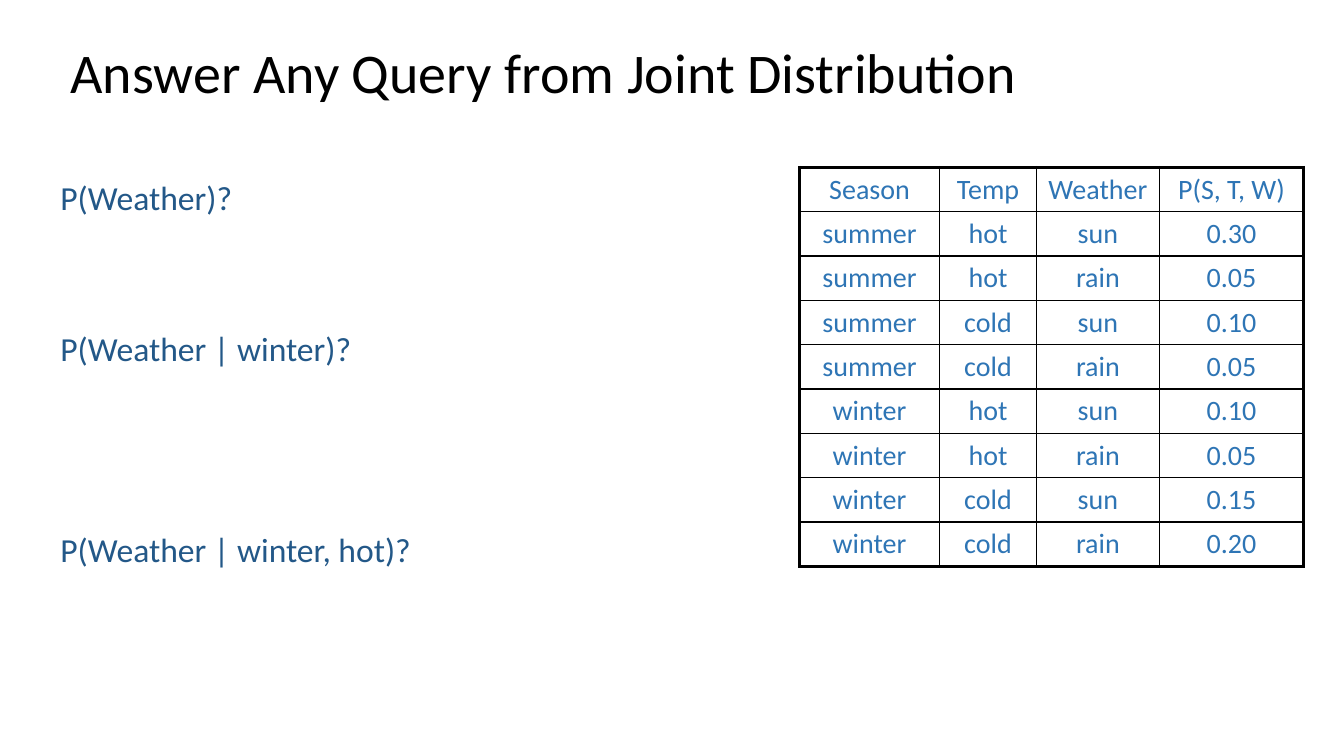
from itertools import product

from lxml import etree
from pptx import Presentation
from pptx.dml.color import RGBColor
from pptx.enum.text import MSO_ANCHOR, PP_ALIGN
from pptx.oxml.ns import qn
from pptx.util import Inches, Pt

CENTER, LEFT = PP_ALIGN.CENTER, PP_ALIGN.LEFT
MIDDLE = MSO_ANCHOR.MIDDLE

TITLE = "Answer Any Query from Joint Distribution"
QUERIES = [
    ("P(Weather)?", 0),
    ("P(Weather | winter)?", 2),
    ("P(Weather | winter, hot)?", 3),
]
HEADER = ("Season", "Temp", "Weather", "P(S, T, W)")
SEASONS, TEMPS, WEATHERS = ("summer", "winter"), ("hot", "cold"), ("sun", "rain")
PROBABILITIES = ("0.30", "0.05", "0.10", "0.05", "0.10", "0.05", "0.15", "0.20")

FONT = "Calibri"
BLACK, QUERY_BLUE, TABLE_BLUE = "000000", "235888", "2E75B5"
TITLE_BOX = (0.6, 0.4, 11.5, 0.69)
QUERY_BOX = (0.5, 1.75, 4.42, 4.95)
TABLE_LEFT, TABLE_TOP = 7.93, 1.66
COLUMN_WIDTHS = (1.39, 0.96, 1.22, 1.43)
ROW_HEIGHT = 0.44
QUERY_GAP, QUERY_PITCH = 10, 36
THICK, THIN = 2.25, 1


def rgb(value):
    return RGBColor.from_string(value)


def write(p, text, size, color, align=LEFT):
    p.alignment = align
    r = p.add_run()
    r.text = text
    r.font.name = FONT
    r.font.size = Pt(size)
    r.font.color.rgb = rgb(color)


def add_text_box(slide, box):
    tf = slide.shapes.add_textbox(*map(Inches, box)).text_frame
    tf.word_wrap = True
    return tf


def set_border(cell, side, width):
    ln = etree.SubElement(cell._tc.get_or_add_tcPr(), qn(f"a:ln{side}"), w=str(Pt(width)))
    fill = etree.SubElement(ln, qn("a:solidFill"))
    etree.SubElement(fill, qn("a:srgbClr"), val=BLACK)


def add_distribution(slide, rows):
    last_row, last_col = len(rows) - 1, len(HEADER) - 1
    frame = slide.shapes.add_table(
        len(rows), len(HEADER), Inches(TABLE_LEFT), Inches(TABLE_TOP),
        Inches(sum(COLUMN_WIDTHS)), Inches(ROW_HEIGHT * len(rows)))
    table = frame.table
    table.first_row = table.horz_banding = False
    for column, width in zip(table.columns, COLUMN_WIDTHS):
        column.width = Inches(width)
    for i, row in enumerate(rows):
        table.rows[i].height = Inches(ROW_HEIGHT)
        for j, text in enumerate(row):
            cell = table.cell(i, j)
            cell.vertical_anchor = MIDDLE
            write(cell.text_frame.paragraphs[0], text, 20, TABLE_BLUE, CENTER)
            outer = {"L": j == 0, "R": j == last_col, "T": i == 0, "B": i == last_row}
            for side, is_outer in outer.items():
                set_border(cell, side, THICK if is_outer else THIN)
            cell.fill.background()


def main():
    prs = Presentation()
    prs.slide_width, prs.slide_height = Inches(13.33), Inches(7.5)
    slide = prs.slides.add_slide(prs.slide_layouts[6])

    p = add_text_box(slide, TITLE_BOX).paragraphs[0]
    p.line_spacing = 0.9
    write(p, TITLE, 40, BLACK)

    tf = add_text_box(slide, QUERY_BOX)
    for k, (query, skipped_lines) in enumerate(QUERIES):
        p = tf.add_paragraph() if k else tf.paragraphs[0]
        p.line_spacing = 0.9
        p.space_before = Pt(QUERY_GAP + QUERY_PITCH * skipped_lines)
        write(p, query, 24, QUERY_BLUE)

    outcomes = product(SEASONS, TEMPS, WEATHERS)
    rows = [HEADER] + [(*o, prob) for o, prob in zip(outcomes, PROBABILITIES)]
    add_distribution(slide, rows)
    prs.save("out.pptx")


if __name__ == "__main__":
    main()
